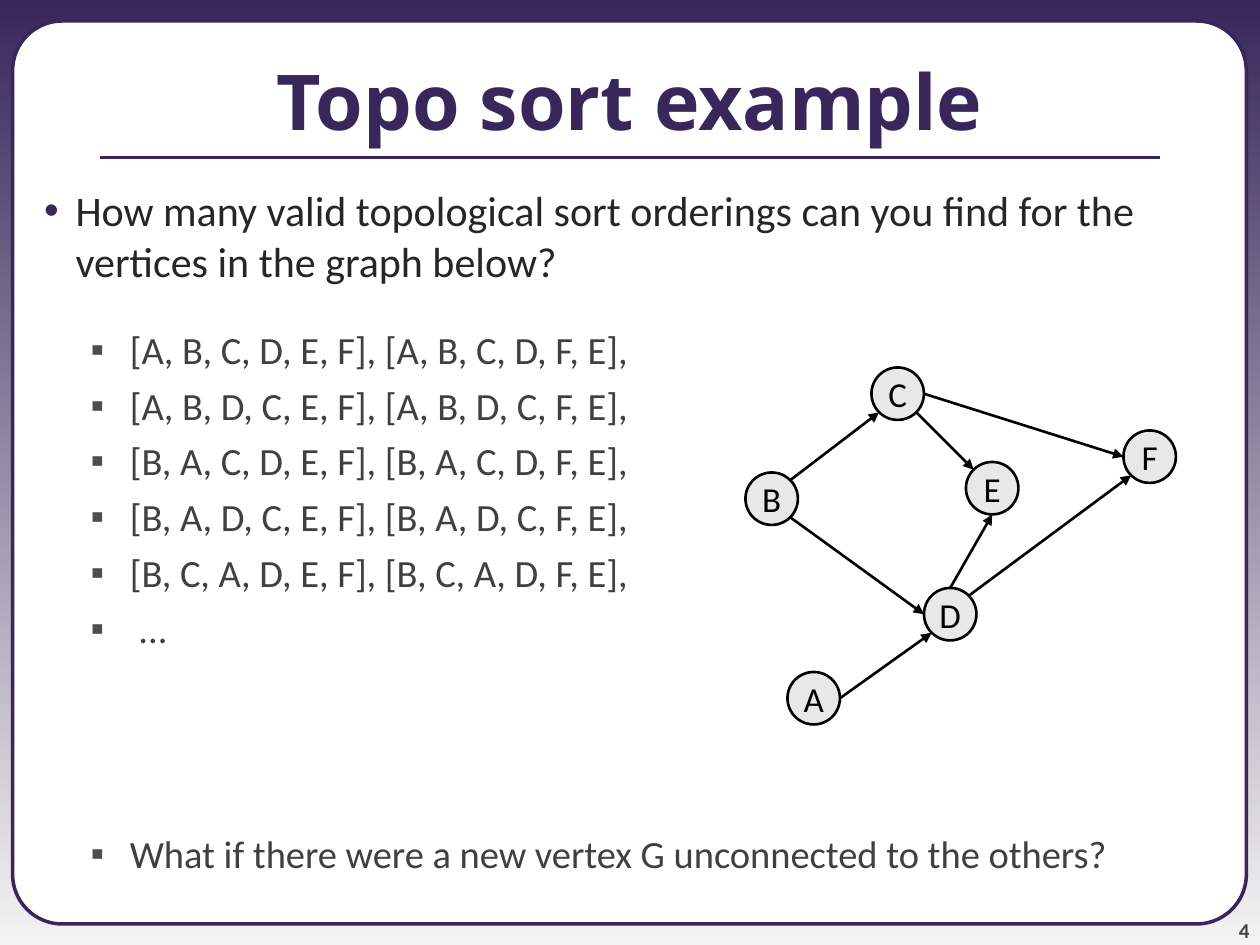
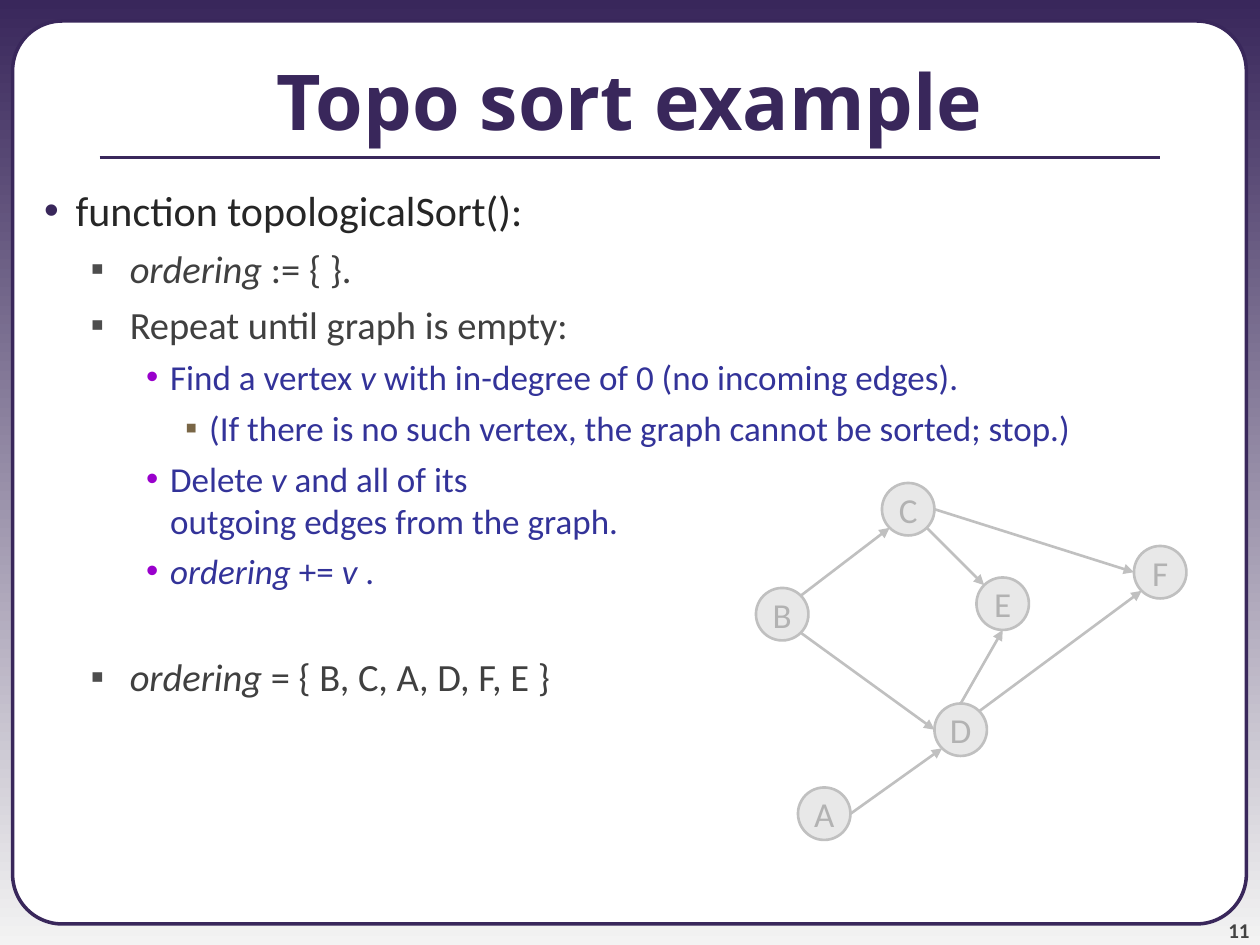
from math import sqrt

from lxml.etree import SubElement
from pptx import Presentation
from pptx.dml.color import RGBColor
from pptx.enum.shapes import MSO_CONNECTOR as Connector, MSO_SHAPE as Shape
from pptx.enum.text import MSO_ANCHOR as Anchor, MSO_AUTO_SIZE as AutoSize, PP_ALIGN as Align
from pptx.oxml.ns import qn
from pptx.util import Inches, Pt

PURPLE = RGBColor(0x39, 0x27, 0x5B)
PALE = RGBColor(0xF3, 0xF3, 0xF3)
WHITE = RGBColor(0xFF, 0xFF, 0xFF)
BLACK = RGBColor(0x00, 0x00, 0x00)
INK = RGBColor(0x26, 0x26, 0x26)
DARK_GRAY = RGBColor(0x40, 0x40, 0x40)
PAGE_GRAY = RGBColor(0x42, 0x42, 0x42)
MARKER_GRAY = RGBColor(0x4D, 0x4D, 0x4D)
BLUE = RGBColor(0x33, 0x33, 0x99)
VIOLET = RGBColor(0x99, 0x00, 0xCC)
BROWN = RGBColor(0x79, 0x66, 0x46)
NODE_FILL = RGBColor(0xE8, 0xE8, 0xE8)
FADED_LINE = RGBColor(0xC0, 0xC0, 0xC0)
FADED_TEXT = RGBColor(0xB2, 0xB2, 0xB2)

BODY_FONT, TITLE_FONT = "Calibri", "Open Sans"

# Per outline level: marker, marker colour, size, text colour, indent, hang, space before
LEVELS = [
    ("•", PURPLE, 24, INK, 0.5, 0.25, 6),
    ("▪", MARKER_GRAY, 22, DARK_GRAY, 0.93, 0.31, 5.5),
    ("•", VIOLET, 20, BLUE, 1.25, 0.19, 5),
    ("▪", BROWN, 20, BLUE, 1.56, 0.19, 5),
]

# Columns and rows of a 120 x 90 grid, at each node's top left corner
NODE_SIZE = 5
NODES = {"C": (83, 35), "A": (75, 64), "F": (107, 41),
         "D": (88, 56), "B": (71, 45), "E": (92, 44)}
DIAGONAL = sqrt(0.5)
SIDES = {
    "top": (0, -1), "bottom": (0, 1), "left": (-1, 0), "right": (1, 0),
    "top left": (-DIAGONAL, -DIAGONAL), "top right": (DIAGONAL, -DIAGONAL),
    "bottom left": (-DIAGONAL, DIAGONAL), "bottom right": (DIAGONAL, DIAGONAL),
}
EDGES = [
    ("B", "top right", "C", "bottom left"),
    ("C", "right", "F", "left"),
    ("B", "bottom right", "D", "left"),
    ("D", "top right", "F", "bottom left"),
    ("A", "right", "D", "bottom left"),
    ("C", "bottom right", "E", "top left"),
    ("D", "top", "E", "bottom"),
]

# Each item: level, text with *italics*, extra space before in points
PAGES = [
    {
        "number": "4",
        "items": [
            (0, "How many valid topological sort orderings can you find for the "
                "vertices in the graph below?", 0),
            (1, "[A, B, C, D, E, F], [A, B, C, D, F, E],", 17.5),
            (1, "[A, B, D, C, E, F], [A, B, D, C, F, E],", 0),
            (1, "[B, A, C, D, E, F], [B, A, C, D, F, E],", 0),
            (1, "[B, A, D, C, E, F], [B, A, D, C, F, E],", 0),
            (1, "[B, C, A, D, E, F], [B, C, A, D, F, E],", 0),
            (1, " ...", 0),
            (1, "What if there were a new vertex G unconnected to the others?", 97),
        ],
        "shift": (0, 0), "line": BLACK, "text": BLACK,
    },
    {
        "number": "11",
        "items": [
            (0, "function topologicalSort():", 0),
            (1, "*ordering* := { }.", 0),
            (1, "Repeat until graph is empty:", 0),
            (2, "Find a vertex *v* with in-degree of 0 (no incoming edges).", 0),
            (3, "(If there is no such vertex, the graph cannot be sorted; stop.)", 0),
            (2, "Delete *v* and all of its\noutgoing edges from the graph.", 0),
            (2, "*ordering* += *v* .", 0),
            (1, "*ordering* = { B, C, A, D, F, E }", 29.5),
        ],
        "shift": (1, 11), "line": FADED_LINE, "text": FADED_TEXT,
    },
]

deck = Presentation()
deck.slide_width, deck.slide_height = Inches(10), Inches(7.5)
UNIT = deck.slide_width // 120


def add_span(para, text, font_name, size, color, bold=False, italic=False):
    span = para.add_run()
    span.text = text
    span.font.name, span.font.size = font_name, Pt(size)
    span.font.bold, span.font.italic = bold, italic
    span.font.color.rgb = color


def add_line(shapes, ends, color, width):
    """Draw a shadowless line between grid points and return its a:ln element."""
    line = shapes.add_connector(Connector.STRAIGHT, *[round(end * UNIT) for end in ends])
    line.line.color.rgb, line.line.width = color, Pt(width)
    properties = line.element.spPr
    SubElement(properties, qn("a:effectLst"))
    return properties.find(qn("a:ln"))


# Shared look: gradient background, white panel and title rule
backdrop = deck.slide_master.background.fill
backdrop.gradient()
backdrop.gradient_angle = 270
for stop, color in zip(backdrop.gradient_stops, (PURPLE, PALE)):
    stop.color.rgb = color

layout = deck.slide_layouts[1]
for footer in list(layout.placeholders)[2:]:
    footer.element.getparent().remove(footer.element)
slides = [deck.slides.add_slide(layout) for page in PAGES]

panel = slides[0].shapes.add_shape(
    Shape.ROUNDED_RECTANGLE, *[round(n * UNIT) for n in (1.2, 2, 117.5, 86)])
panel.adjustments[0] = 0.055
panel.shadow.inherit = False
panel.fill.solid()
panel.fill.fore_color.rgb = WHITE
panel.line.color.rgb, panel.line.width = PURPLE, Pt(2)
rule = add_line(slides[0].shapes, (9.5, 15, 110.5, 15), PURPLE, 2.25).getparent().getparent()
for element in (panel.element, rule):
    layout.shapes.element.append(element)

for slide, page in zip(slides, PAGES):
    title, body = slide.placeholders
    for holder, top, height in ((title, 2, 15), (body, 17, 73)):
        holder.left, holder.top = 0, top * UNIT
        holder.width, holder.height = deck.slide_width, height * UNIT
        holder.text_frame.auto_size = AutoSize.NONE

    title.text_frame.vertical_anchor = Anchor.MIDDLE
    heading = title.text_frame.paragraphs[0]
    heading.alignment = Align.CENTER
    add_span(heading, "Topo sort example", TITLE_FONT, 44, PURPLE, bold=True)

    for index, (level, text, extra) in enumerate(page["items"]):
        marker, marker_color, size, color, indent, hang, space = LEVELS[level]
        para = body.text_frame.add_paragraph() if index else body.text_frame.paragraphs[0]
        para.level = level
        settings = para._p.get_or_add_pPr()
        settings.set("marL", str(Inches(indent)))
        settings.set("indent", str(-Inches(hang)))
        SubElement(SubElement(settings, qn("a:buClr")), qn("a:srgbClr"), val=str(marker_color))
        SubElement(settings, qn("a:buFont"), typeface="Arial")
        SubElement(settings, qn("a:buChar"), char=marker)
        para.space_before = Pt(space + extra) if index else Pt(0)
        for part, piece in enumerate(text.split("*")):
            for row, words in enumerate(piece.split("\n")):
                if row:
                    para.add_line_break()
                if words:
                    add_span(para, words, BODY_FONT, size, color, italic=part % 2 == 1)

    number_box = slide.shapes.add_textbox(*[round(n * UNIT) for n in (109, 85, 10, 4.75)])
    frame = number_box.text_frame
    frame.word_wrap = True
    frame.vertical_anchor = Anchor.BOTTOM
    frame.margin_left = frame.margin_right = frame.margin_top = frame.margin_bottom = 0
    frame.paragraphs[0].alignment = Align.RIGHT
    add_span(frame.paragraphs[0], page["number"], BODY_FONT, 12, PAGE_GRAY, bold=True)

    graph = slide.shapes.add_group_shape().shapes
    radius = NODE_SIZE / 2
    centers = {}
    for name, (column, row) in NODES.items():
        column, row = column + page["shift"][0], row + page["shift"][1]
        centers[name] = column + radius, row + radius
        node = graph.add_shape(Shape.OVAL, column * UNIT, row * UNIT,
                               NODE_SIZE * UNIT, NODE_SIZE * UNIT)
        node.shadow.inherit = False
        node.fill.solid()
        node.fill.fore_color.rgb = NODE_FILL
        node.line.color.rgb, node.line.width = page["line"], Pt(1.5)
        node.text_frame.word_wrap = False
        node.text_frame.vertical_anchor = Anchor.MIDDLE
        label = node.text_frame.paragraphs[0]
        label.alignment = Align.CENTER
        add_span(label, name, BODY_FONT, 20, page["text"])

    for start, start_side, end, end_side in EDGES:
        ends = [middle + radius * offset
                for name, side in ((start, start_side), (end, end_side))
                for middle, offset in zip(centers[name], SIDES[side])]
        SubElement(add_line(graph, ends, page["line"], 1.5), qn("a:tailEnd"), type="triangle")

deck.save("out.pptx")
